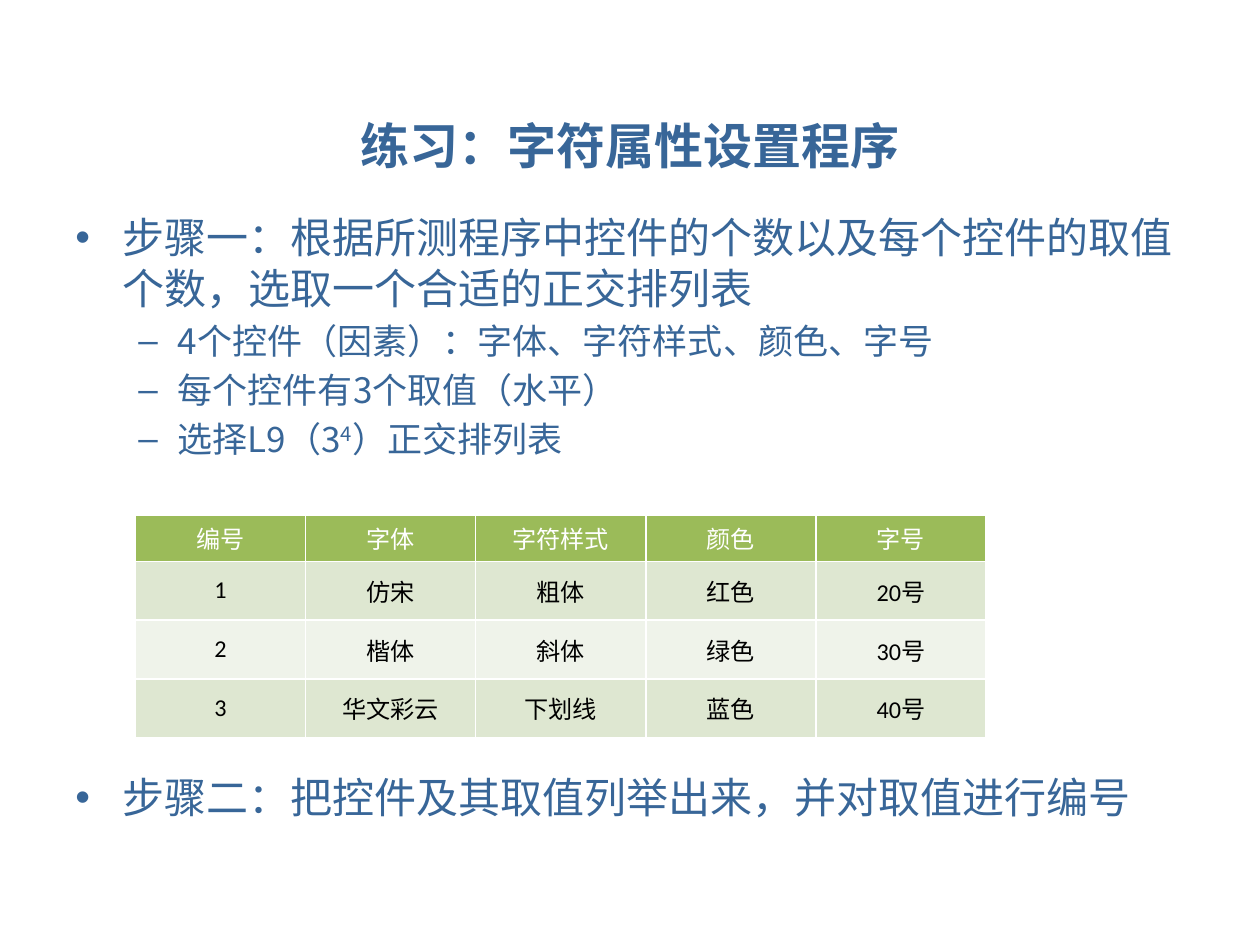
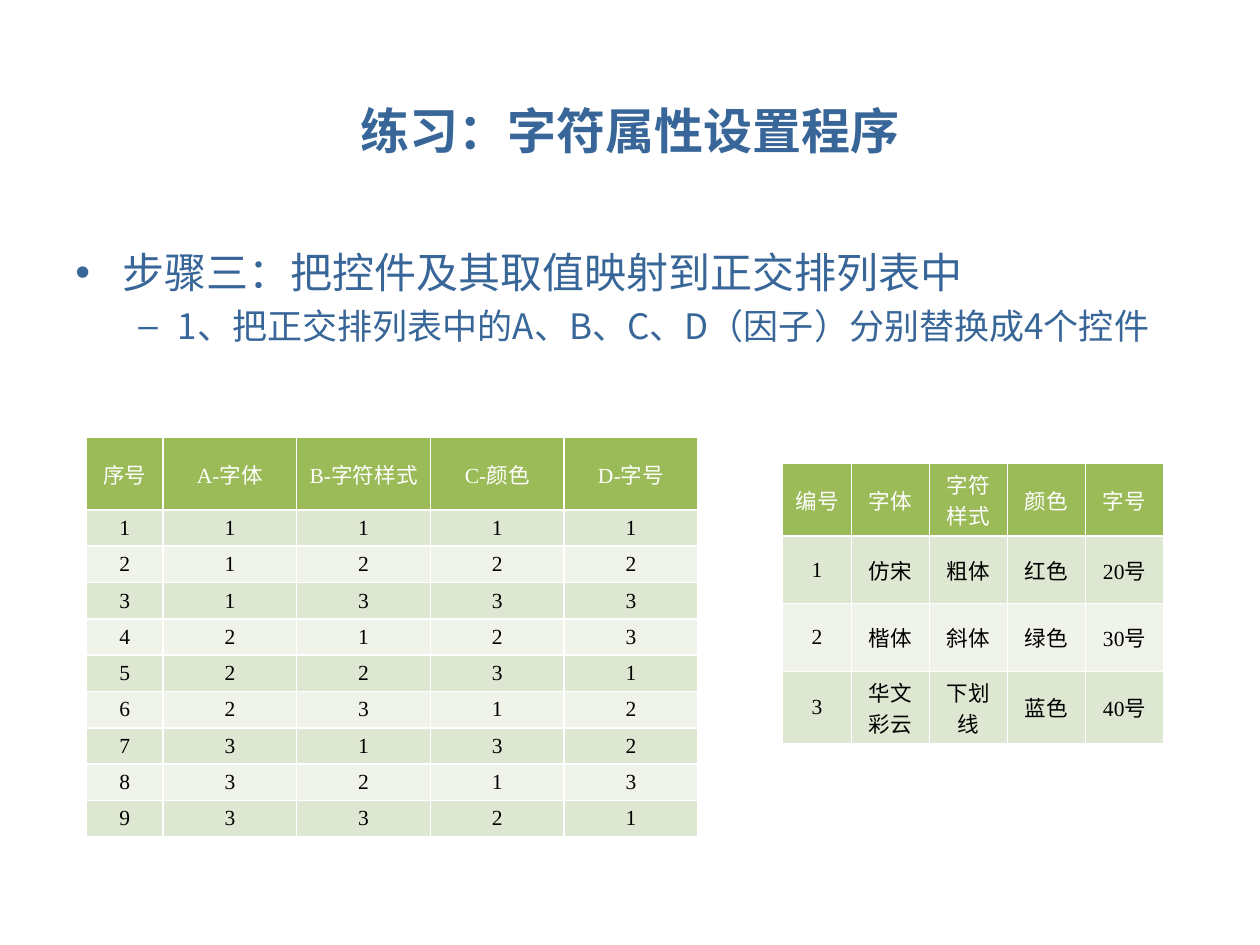
from lxml.etree import SubElement
from pptx import Presentation
from pptx.dml.color import RGBColor
from pptx.enum.text import MSO_ANCHOR, PP_ALIGN
from pptx.oxml.ns import qn
from pptx.util import Pt

BLUE = RGBColor(0x38, 0x66, 0x98)
GREEN = RGBColor(0x9B, 0xBB, 0x59)
PALE_GREEN = RGBColor(0xDE, 0xE7, 0xD1)
LIGHT_GREEN = RGBColor(0xEF, 0xF3, 0xEA)
WHITE = RGBColor(0xFF, 0xFF, 0xFF)
BLACK = RGBColor(0, 0, 0)

CHINESE_FONT = "Noto Sans CJK SC"
TITLE = "练习：字符属性设置程序"
TITLE_FORMAT = {"size": Pt(28), "name": "Karla", "bold": True}
LEVELS = [
    {"size": 24, "left": 27, "indent": -27, "bullet": "•"},
    {"size": 20, "left": 58.5, "indent": -22.5, "bullet": "–"},
]
CELL_MARGINS = {
    "margin_left": Pt(7.2),
    "margin_right": Pt(7.2),
    "margin_top": Pt(3),
    "margin_bottom": Pt(3),
    "vertical_anchor": MSO_ANCHOR.MIDDLE,
}
TWO_LINE_HEIGHT = 41.4

VALUES = [
    ["编号", "字体", "字符样式", "颜色", "字号"],
    ["1", "仿宋", "粗体", "红色", "20号"],
    ["2", "楷体", "斜体", "绿色", "30号"],
    ["3", "华文彩云", "下划线", "蓝色", "40号"],
]
ORTHOGONAL_ARRAY = [
    ["序号", "A-字体", "B-字符样式", "C-颜色", "D-字号"],
    *(list(digits) for digits in (
        "11111", "21222", "31333", "42123", "52231",
        "62312", "73132", "83213", "93321",
    )),
]


def apply_format(target, values):
    for name, value in values.items():
        setattr(target, name, value)


def add_span(para, text, color, values, raise_percent=0):
    span = para.add_run()
    span.text = text
    apply_format(span.font, values)
    span.font.color.rgb = color
    properties = span.font._element
    SubElement(properties, qn("a:ea"), typeface=CHINESE_FONT)
    if raise_percent:
        properties.set("baseline", str(raise_percent * 1000))


def add_text_frame(page, box, anchor):
    frame = page.shapes.add_textbox(*map(Pt, box)).text_frame
    apply_format(frame, {"word_wrap": True, "vertical_anchor": anchor})
    return frame


def add_title(page, box):
    para = add_text_frame(page, box, MSO_ANCHOR.MIDDLE).paragraphs[0]
    para.alignment = PP_ALIGN.CENTER
    add_span(para, TITLE, BLUE, TITLE_FORMAT)


def add_steps(page, box, steps):
    frame = add_text_frame(page, box, MSO_ANCHOR.TOP)
    for index, (level, parts, spacing) in enumerate(steps):
        para = frame.add_paragraph() if index else frame.paragraphs[0]
        style = LEVELS[level]
        size = style["size"]
        apply_format(para, {
            "level": level,
            "line_spacing": Pt(size * 1.2),
            "space_before": Pt(size * 0.2),
            **spacing,
        })
        properties = para._p.get_or_add_pPr()
        properties.set("marL", str(Pt(style["left"])))
        properties.set("indent", str(Pt(style["indent"])))
        SubElement(properties, qn("a:buFont"), typeface="Arial")
        SubElement(properties, qn("a:buChar"), char=style["bullet"])
        for text, raise_percent in parts:
            values = {"size": Pt(size), "name": CHINESE_FONT}
            add_span(para, text, BLUE, values, raise_percent)


def add_borders(cell):
    properties = cell._tc.get_or_add_tcPr()
    for side in "LRTB":
        line = SubElement(properties, qn(f"a:ln{side}"), w=str(Pt(1)))
        fill = SubElement(line, qn("a:solidFill"))
        SubElement(fill, qn("a:srgbClr"), val=str(WHITE))


def add_grid(page, corner, rows, widths, heights, values):
    box = (*corner, sum(widths), sum(heights))
    table = page.shapes.add_table(len(rows), len(widths), *map(Pt, box)).table
    apply_format(table, {"first_row": False, "horz_banding": False})
    for column, width in zip(table.columns, widths):
        column.width = Pt(width)
    for row_index, row in enumerate(rows):
        header = row_index == 0
        table.rows[row_index].height = Pt(heights[row_index])
        fill = GREEN if header else (LIGHT_GREEN, PALE_GREEN)[row_index % 2]
        for column_index, text in enumerate(row):
            cell = table.cell(row_index, column_index)
            apply_format(cell, CELL_MARGINS)
            add_borders(cell)
            cell.fill.solid()
            cell.fill.fore_color.rgb = fill
            para = cell.text_frame.paragraphs[0]
            para.alignment = PP_ALIGN.CENTER
            add_span(para, text, WHITE if header else BLACK, values)


def build_values_page(page):
    add_title(page, (36, 62.6, 648, 41))
    add_steps(page, (36, 117.4, 648, 356.4), [
        (0, [("步骤一：根据所测程序中控件的个数以及每个控件的取值个数，选取一个合适的正交排列表", 0)], {}),
        (1, [("4个控件（因素）：字体、字符样式、颜色、字号", 0)], {}),
        (1, [("每个控件有3个取值（水平）", 0)], {}),
        (1, [("选择L9（3", 0), ("4", 30), ("）正交排列表", 0)], {}),
        (0, [("步骤二：把控件及其取值列举出来，并对取值进行编号", 0)], {"space_before": Pt(178.2)}),
    ])
    values = {"size": Pt(13.8), "name": "Calibri"}
    add_grid(page, (77.4, 294.6), VALUES, [97.2] * 5, [26.2] + [33.6] * 3, values)


def build_mapping_page(page):
    add_title(page, (36, 55, 648, 39))
    add_steps(page, (36, 126, 648, 356.4), [
        (0, [("步骤三：把控件及其取值映射到正交排列表中", 0)], {"line_spacing": Pt(40.3)}),
        (1, [("1、把正交排列表中的A、B、C、D（因子）分别替换成4个控件", 0)], {}),
    ])
    values = {"size": Pt(12.3), "name": "Times New Roman"}
    add_grid(page, (49.5, 250), ORTHOGONAL_ARRAY, [43.7] + [76.4] * 4,
             [TWO_LINE_HEIGHT] + [20.3] * 9, values)
    add_grid(page, (447.2, 264.8), VALUES, [39.4] + [44.6] * 4,
             [TWO_LINE_HEIGHT, 38.7, 38.7, TWO_LINE_HEIGHT], values)


def main():
    deck = Presentation()
    apply_format(deck, {"slide_width": Pt(720), "slide_height": Pt(540)})
    for build_page in (build_values_page, build_mapping_page):
        build_page(deck.slides.add_slide(deck.slide_layouts[6]))
    deck.save("out.pptx")


if __name__ == "__main__":
    main()
